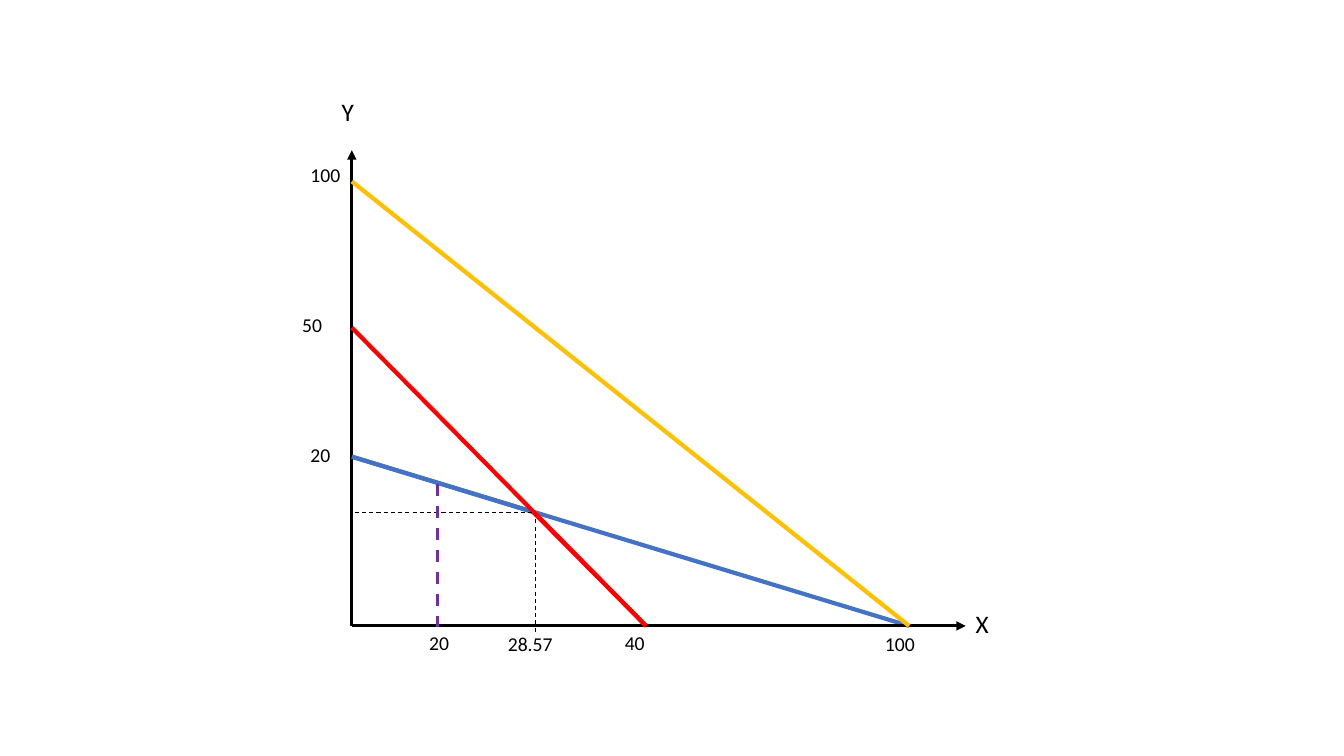
import pptx
import pptx.util
import pptx.dml.color
import pptx.enum.dml
import pptx.enum.shapes
import pptx.enum.text
from lxml import etree

Pt = pptx.util.Pt
BLACK, BLUE, RED, GOLD, PURPLE = "000000", "4472C4", "FF0000", "FFC000", "7030A0"
FONT = "Calibri"

# Key positions on the graph, in points
ORIGIN_X, ORIGIN_Y = 251.3, 447.1
AXIS_TOP, AXIS_END = 107.3, 689.8
X_40, X_100 = 461.5, 649.4
Y_20, Y_50, Y_100 = 326.2, 234, 129.6
CROSS_X, CROSS_Y = 380.9, 365.8
GUIDE_X, LIMIT_X, LIMIT_Y = 382.3, 312.5, 345.6

AXES = [
    ((ORIGIN_X, ORIGIN_Y), (ORIGIN_X, AXIS_TOP)),
    ((ORIGIN_X, ORIGIN_Y), (AXIS_END, ORIGIN_Y)),
]
# start, end, colour, width, dashed
BLUE_LINE = ((ORIGIN_X, Y_20), (X_100, ORIGIN_Y), BLUE, 3, False)
OTHER_LINES = [
    ((ORIGIN_X, Y_20), (CROSS_X, CROSS_Y), BLUE, 3, False),
    ((CROSS_X, CROSS_Y), (X_40, ORIGIN_Y), RED, 3, False),
    ((ORIGIN_X, Y_100), (X_100, ORIGIN_Y), GOLD, 3, False),
    ((ORIGIN_X, Y_50), (X_40, ORIGIN_Y), RED, 3, False),
    ((253.4, CROSS_Y), (CROSS_X, CROSS_Y), BLACK, 0.75, True),
    ((GUIDE_X, CROSS_Y), (GUIDE_X, 452.2), BLACK, 0.75, True),
    ((LIMIT_X, LIMIT_Y), (LIMIT_X, 447.8), PURPLE, 2.25, True),
]
# text, left, top, width, height, size
LABELS = [
    ("100", 214.6, 113, 44.6, 26.6, 14),
    ("50", 208.8, 220.3, 44.6, 26.6, 14),
    ("20", 214.6, 312.5, 44.6, 26.6, 14),
    ("20", 299.5, 447.1, 29.5, 24.5, 14),
    ("28.57", 355.7, 447.8, 54.7, 24.5, 14),
    ("40", 439.2, 447.1, 44.6, 26.6, 14),
    ("100", 625, 447.8, 44.6, 26.6, 14),
    ("Y", 236.9, 65.5, 28.8, 31.7, 18),
    ("X", 689.8, 431.3, 28.8, 31.7, 18),
]


def rgb(value):
    return pptx.dml.color.RGBColor.from_string(value)


def add_line(shapes, start, end, color, width, dashed=False, arrow=False):
    line = shapes.add_connector(
        pptx.enum.shapes.MSO_CONNECTOR.STRAIGHT,
        *(Pt(value) for value in start + end))
    line.line.color.rgb = rgb(color)
    line.line.width = Pt(width)
    if dashed:
        line.line.dash_style = pptx.enum.dml.MSO_LINE.DASH
    properties = line._element.spPr
    if arrow:
        tail = etree.SubElement(line.line._get_or_add_ln(),
                                pptx.oxml.ns.qn("a:tailEnd"))
        tail.set("type", "triangle")
    etree.SubElement(properties, pptx.oxml.ns.qn("a:effectLst"))


def add_label(shapes, text, left, top, width, height, size):
    label = shapes.add_textbox(Pt(left), Pt(top), Pt(width), Pt(height))
    label.text_frame.word_wrap = True
    label.text_frame.auto_size = pptx.enum.text.MSO_AUTO_SIZE.SHAPE_TO_FIT_TEXT
    run = label.text_frame.paragraphs[0].add_run()
    run.text = text
    run.font.name = FONT
    run.font.size = Pt(size)
    run.font.color.rgb = rgb(BLACK)


def main():
    deck = pptx.Presentation()
    deck.slide_width, deck.slide_height = Pt(960), Pt(540)
    shapes = deck.slides.add_slide(deck.slide_layouts[6]).shapes

    add_line(shapes, *BLUE_LINE)
    axes = shapes.add_group_shape()
    for start, end in AXES:
        add_line(axes.shapes, start, end, BLACK, 2.25, arrow=True)
    for line in OTHER_LINES:
        add_line(shapes, *line)
    for label in LABELS:
        add_label(shapes, *label)

    deck.save("out.pptx")


if __name__ == "__main__":
    main()
